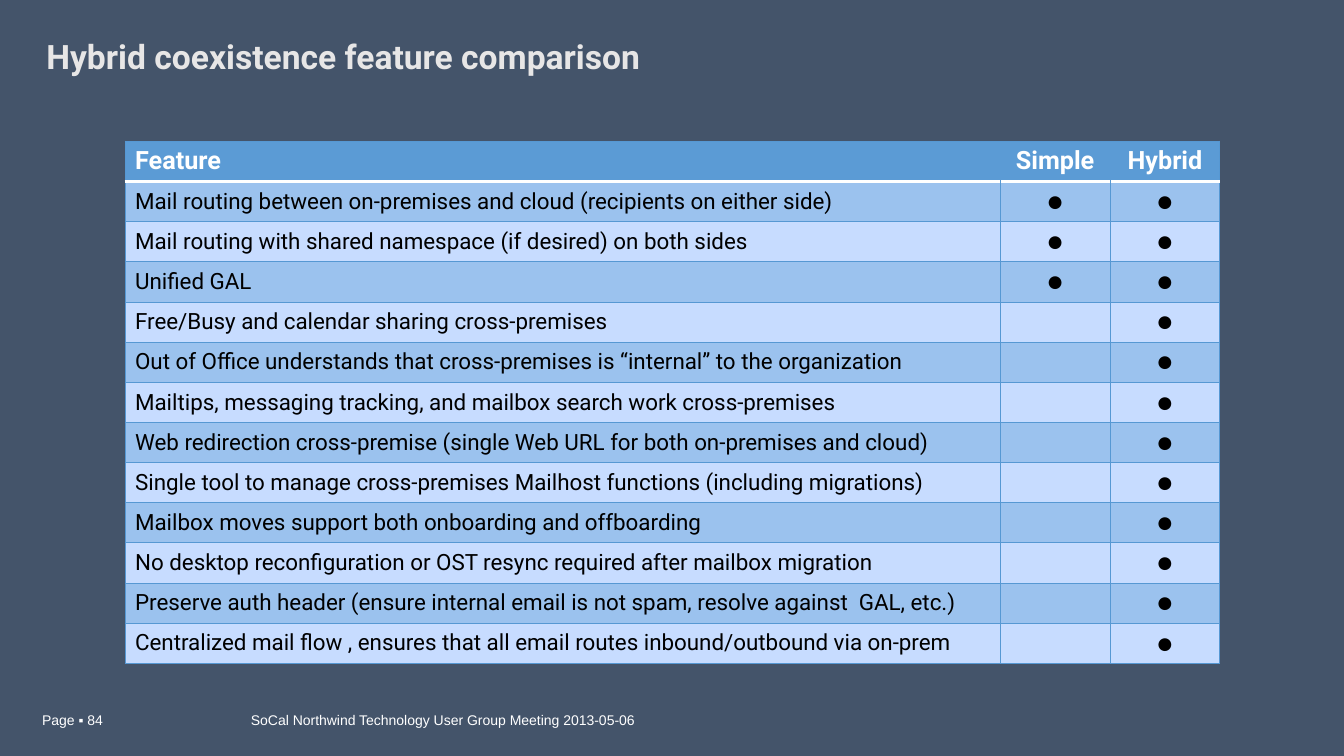
import pptx
import pptx.dml.color
import pptx.enum.text
import pptx.oxml
import pptx.oxml.ns
import pptx.util
from pptx.dml.color import RGBColor
from pptx.util import Inches

BACKGROUND = RGBColor(0x44, 0x54, 0x6A)
TITLE_GRAY = RGBColor(0xE7, 0xE6, 0xE6)
WHITE = RGBColor(0xFF, 0xFF, 0xFF)
BLACK = RGBColor(0x00, 0x00, 0x00)
HEADER_BLUE = RGBColor(0x5B, 0x9B, 0xD5)
BAND_DARK = RGBColor(0x9B, 0xC2, 0xEE)
BAND_LIGHT = RGBColor(0xC7, 0xDC, 0xFF)
GRID_BLUE = RGBColor(0x56, 0x98, 0xD3)

LEFT = pptx.enum.text.PP_ALIGN.LEFT
CENTER = pptx.enum.text.PP_ALIGN.CENTER
MIDDLE = pptx.enum.text.MSO_ANCHOR.MIDDLE
TOP = pptx.enum.text.MSO_ANCHOR.TOP

DOT = "●"
HEADINGS = ("Feature", "Simple", "Hybrid")
COLUMN_WIDTHS = (8.68, 1.09, 1.09)
SIMPLE_FEATURE_COUNT = 3
FEATURES = (
    "Mail routing between on-premises and cloud (recipients on either side)",
    "Mail routing with shared namespace (if desired) on both sides",
    "Unified GAL",
    "Free/Busy and calendar sharing cross-premises",
    "Out of Office understands that cross-premises is “internal” to the organization",
    "Mailtips, messaging tracking, and mailbox search work cross-premises",
    "Web redirection cross-premise (single Web URL for both on-premises and cloud)",
    "Single tool to manage cross-premises Mailhost functions (including migrations)",
    "Mailbox moves support both onboarding and offboarding",
    "No desktop reconfiguration or OST resync required after mailbox migration",
    "Preserve auth header (ensure internal email is not spam, resolve against  GAL, etc.)",
    "Centralized mail flow , ensures that all email routes inbound/outbound via on-prem",
)


def style_paragraph(paragraph, size, color, font_name, bold=False):
    paragraph.font.name = font_name
    paragraph.font.size = pptx.util.Pt(size)
    paragraph.font.bold = bold
    paragraph.font.color.rgb = color


def add_text(slide, box, text, size, color, font_name, bold=False, anchor=TOP, side_margin=0.1):
    shape = slide.shapes.add_textbox(*(Inches(length) for length in box))
    frame = shape.text_frame
    frame.word_wrap = True
    frame.vertical_anchor = anchor
    frame.margin_left = frame.margin_right = Inches(side_margin)
    frame.text = text
    style_paragraph(frame.paragraphs[0], size, color, font_name, bold)
    return frame.paragraphs[0]


def set_borders(cell, borders):
    """Draw borders given as (side, color, points); a color of None leaves the side open."""
    properties = cell._tc.get_or_add_tcPr()
    for index, (side, color, points) in enumerate(borders):
        fill = "<a:noFill/>" if color is None else f'<a:solidFill><a:srgbClr val="{color}"/></a:solidFill>'
        line = pptx.oxml.parse_xml(
            f'<a:ln{side} {pptx.oxml.ns.nsdecls("a")} w="{pptx.util.Pt(points)}">{fill}</a:ln{side}>')
        properties.insert(index, line)


def cell_borders(row, column, row_count, column_count):
    inner = None if row == 0 else GRID_BLUE
    header_rule = (WHITE, 2)
    grid = (GRID_BLUE, 0.75)
    return (
        ("L", GRID_BLUE if column == 0 else inner, 0.75),
        ("R", GRID_BLUE if column == column_count - 1 else inner, 0.75),
        ("T", *(header_rule if row == 1 else grid)),
        ("B", *(header_rule if row == 0 else grid)),
    )


def add_feature_table(slide, box):
    rows = [HEADINGS] + [
        (feature, DOT if index < SIMPLE_FEATURE_COUNT else "", DOT)
        for index, feature in enumerate(FEATURES)
    ]
    table = slide.shapes.add_table(
        len(rows), len(HEADINGS), *(Inches(length) for length in box)).table
    table.horz_banding = False
    for column, width in zip(table.columns, COLUMN_WIDTHS):
        column.width = Inches(width)
    for row_index, texts in enumerate(rows):
        table.rows[row_index].height = Inches(box[3] / len(rows))
        for column_index, text in enumerate(texts):
            cell = table.cell(row_index, column_index)
            cell.vertical_anchor = MIDDLE
            cell.text = text
            paragraph = cell.text_frame.paragraphs[0]
            paragraph.alignment = LEFT if column_index == 0 else CENTER
            cell.fill.solid()
            if row_index == 0:
                cell.fill.fore_color.rgb = HEADER_BLUE
                style_paragraph(paragraph, 18, WHITE, "Roboto", bold=True)
            else:
                cell.fill.fore_color.rgb = BAND_DARK if row_index % 2 else BAND_LIGHT
                style_paragraph(paragraph, 16 if column_index == 0 else 12, BLACK, "Roboto")
            set_borders(cell, cell_borders(row_index, column_index, len(rows), len(texts)))


def add_title(slide, box):
    paragraph = add_text(slide, box, "Hybrid coexistence feature comparison", 24, TITLE_GRAY,
                         "Roboto", bold=True, anchor=MIDDLE, side_margin=0)
    paragraph.line_spacing = 0.95


def add_footer(slide, box):
    left, top, width, height = box
    page_width = 1.96
    meeting_offset = 2.07
    add_text(slide, (left, top, page_width, height), "Page ▪ 84", 10, WHITE, "Arial")
    add_text(slide, (left + meeting_offset, top, width - meeting_offset, height),
             "SoCal Northwind Technology User Group Meeting 2013-05-06", 10, WHITE, "Arial")


def main():
    presentation = pptx.Presentation()
    presentation.slide_width = Inches(13.33)
    presentation.slide_height = Inches(7.5)
    slide = presentation.slides.add_slide(presentation.slide_layouts[6])
    slide.background.fill.solid()
    slide.background.fill.fore_color.rgb = BACKGROUND
    add_title(slide, (0.46, 0.25, 8.41, 0.66))
    add_feature_table(slide, (1.24, 1.4, 10.86, 5.18))
    add_footer(slide, (0.32, 7.01, 8.55, 0.27))
    presentation.save("out.pptx")


if __name__ == "__main__":
    main()
